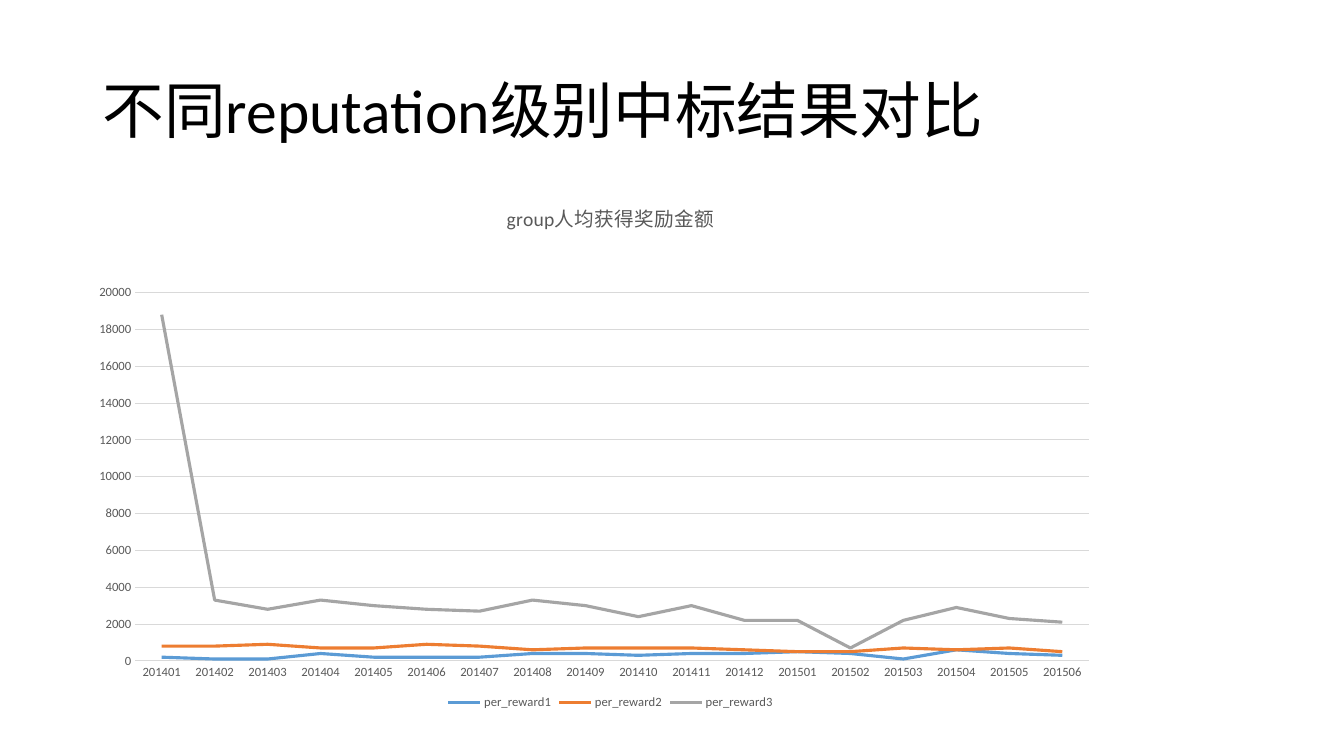
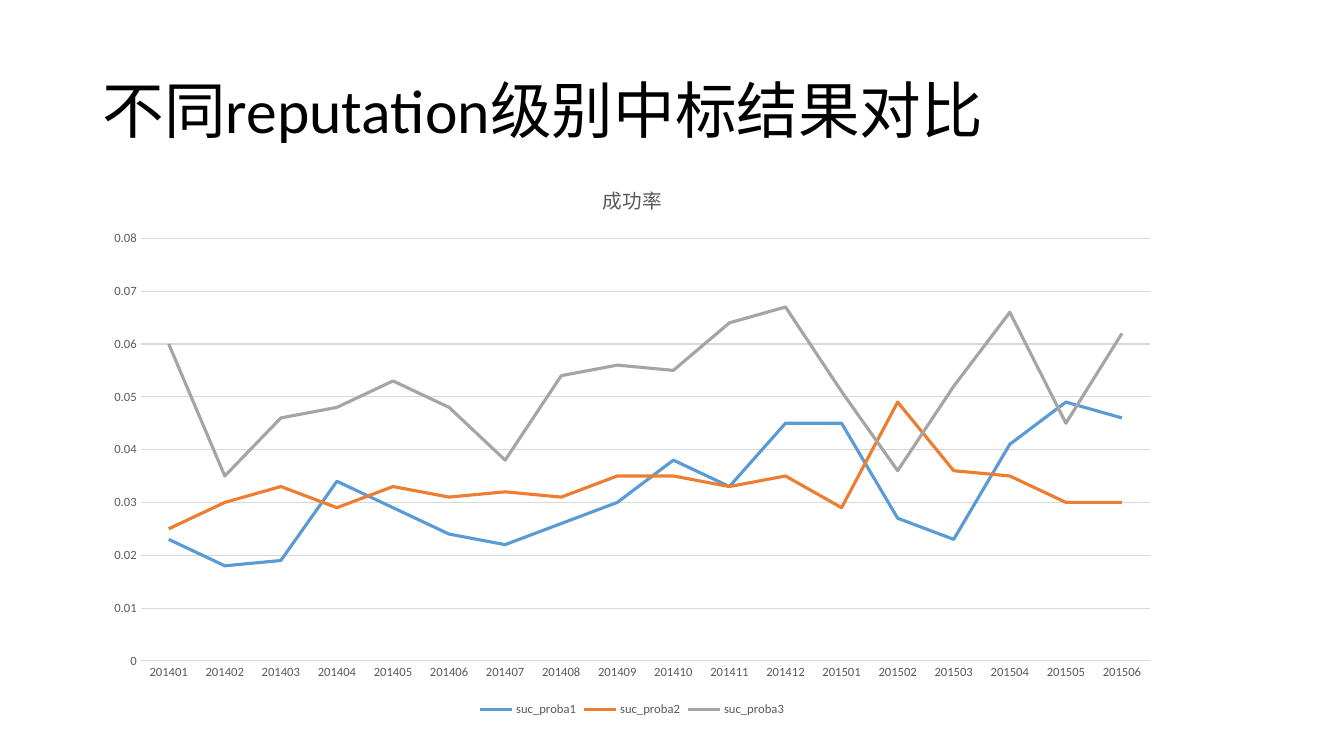
import pptx
import pptx.util
import pptx.dml.color
import pptx.chart.data
import pptx.enum.chart
import pptx.enum.text
import pptx.oxml
import pptx.oxml.ns
from dataclasses import dataclass

Inches, Pt = pptx.util.Inches, pptx.util.Pt
Color = pptx.dml.color.RGBColor.from_string


# Theme
@dataclass(frozen=True)
class Theme:
    font: str = "Calibri"
    title_color: str = "000000"
    label_color: str = "595959"
    grid_color: str = "D9D9D9"
    series_colors: tuple = ("5B9BD5", "ED7D31", "A5A5A5")
    title_size: float = 44
    chart_title_size: float = 14
    label_size: float = 9
    grid_width: float = 0.75
    series_width: float = 2.25


theme = Theme()

# Content
TITLE = "不同reputation级别中标结果对比"
MONTHS = [f"{year}{month:02}" for year, count in ((2014, 12), (2015, 6))
          for month in range(1, count + 1)]
CHARTS = [
    {
        "title": "group人均获得奖励金额",
        "area": (0.92, 1.8, 10.27, 5.28),
        "plot": {"x": 0.041, "y": 0.209, "w": 0.921, "h": 0.692},
        "top": 20000, "step": 2000,
        "series": {
            "per_reward1": (200, 100, 100, 400, 200, 200, 200, 400, 400,
                            300, 400, 400, 500, 400, 100, 600, 400, 300),
            "per_reward2": (800, 800, 900, 700, 700, 900, 800, 600, 700,
                            700, 700, 600, 500, 500, 700, 600, 700, 500),
            "per_reward3": (18800, 3300, 2800, 3300, 3000, 2800, 2700, 3300, 3000,
                            2400, 3000, 2200, 2200, 700, 2200, 2900, 2300, 2100),
        },
    },
    {
        "title": "成功率",
        "area": (0.92, 1.62, 10.7, 5.53),
        "plot": None,
        "top": 0.08, "step": 0.01,
        "series": {
            "suc_proba1": (0.023, 0.018, 0.019, 0.034, 0.029, 0.024, 0.022, 0.026, 0.03,
                           0.038, 0.033, 0.045, 0.045, 0.027, 0.023, 0.041, 0.049, 0.046),
            "suc_proba2": (0.025, 0.03, 0.033, 0.029, 0.033, 0.031, 0.032, 0.031, 0.035,
                           0.035, 0.033, 0.035, 0.029, 0.049, 0.036, 0.035, 0.03, 0.03),
            "suc_proba3": (0.06, 0.035, 0.046, 0.048, 0.053, 0.048, 0.038, 0.054, 0.056,
                           0.055, 0.064, 0.067, 0.051, 0.036, 0.052, 0.066, 0.045, 0.062),
        },
    },
]


def style_font(font, size, color):
    font.name, font.size, font.bold = theme.font, Pt(size), False
    font.color.rgb = Color(color)


def style_line(line, color, width):
    line.color.rgb = Color(color)
    line.width = Pt(width)


# Slide title
def add_title(page):
    box = page.shapes.add_textbox(Inches(0.92), Inches(0.4), Inches(11.5), Inches(1.45))
    frame = box.text_frame
    frame.word_wrap = True
    frame.vertical_anchor = pptx.enum.text.MSO_ANCHOR.MIDDLE
    frame.text = TITLE
    para = frame.paragraphs[0]
    para.line_spacing = 0.9
    style_font(para.runs[0].font, theme.title_size, theme.title_color)


# Fixed inner plot area, as fractions of the chart
def place_plot(chart, fractions):
    qn = pptx.oxml.ns.qn
    plot_area = chart.plots[0]._element.getparent()
    for old in plot_area.findall(qn("c:layout")):
        plot_area.remove(old)
    settings = {"layoutTarget": "inner", "xMode": "edge", "yMode": "edge", **fractions}
    parts = "".join(f'<c:{name} val="{value}"/>' for name, value in settings.items())
    plot_area.insert(0, pptx.oxml.parse_xml(
        f'<c:layout {pptx.oxml.ns.nsdecls("c")}>'
        f'<c:manualLayout>{parts}</c:manualLayout></c:layout>'))


# Line chart
def add_line_chart(page, content):
    data = pptx.chart.data.CategoryChartData()
    data.categories = MONTHS
    for name, values in content["series"].items():
        data.add_series(name, values)
    chart = page.shapes.add_chart(pptx.enum.chart.XL_CHART_TYPE.LINE,
                                  *map(Inches, content["area"]), data).chart
    style_font(chart.font, theme.label_size, theme.label_color)

    chart.has_title = True
    heading = chart.chart_title.text_frame
    heading.text = content["title"]
    style_font(heading.paragraphs[0].runs[0].font, theme.chart_title_size, theme.label_color)

    chart.has_legend = True
    chart.legend.position = pptx.enum.chart.XL_LEGEND_POSITION.BOTTOM
    chart.legend.include_in_layout = False
    style_font(chart.legend.font, theme.label_size, theme.label_color)

    for axis in (chart.category_axis, chart.value_axis):
        axis.major_tick_mark = axis.minor_tick_mark = pptx.enum.chart.XL_TICK_MARK.NONE
        style_font(axis.tick_labels.font, theme.label_size, theme.label_color)
    style_line(chart.category_axis.format.line, theme.grid_color, theme.grid_width)
    scale = chart.value_axis
    scale.format.line.fill.background()
    scale.minimum_scale, scale.maximum_scale = 0, content["top"]
    scale.major_unit = content["step"]
    scale.has_major_gridlines = True
    style_line(scale.major_gridlines.format.line, theme.grid_color, theme.grid_width)

    chart.plots[0].vary_by_categories = False
    for series, color in zip(chart.plots[0].series, theme.series_colors):
        series.smooth = False
        style_line(series.format.line, color, theme.series_width)
    if content["plot"]:
        place_plot(chart, content["plot"])


# Build the slides
deck = pptx.Presentation()
deck.slide_width, deck.slide_height = Inches(13.33), Inches(7.5)
for content in CHARTS:
    page = deck.slides.add_slide(deck.slide_layouts[6])
    add_title(page)
    add_line_chart(page, content)
deck.save("out.pptx")
